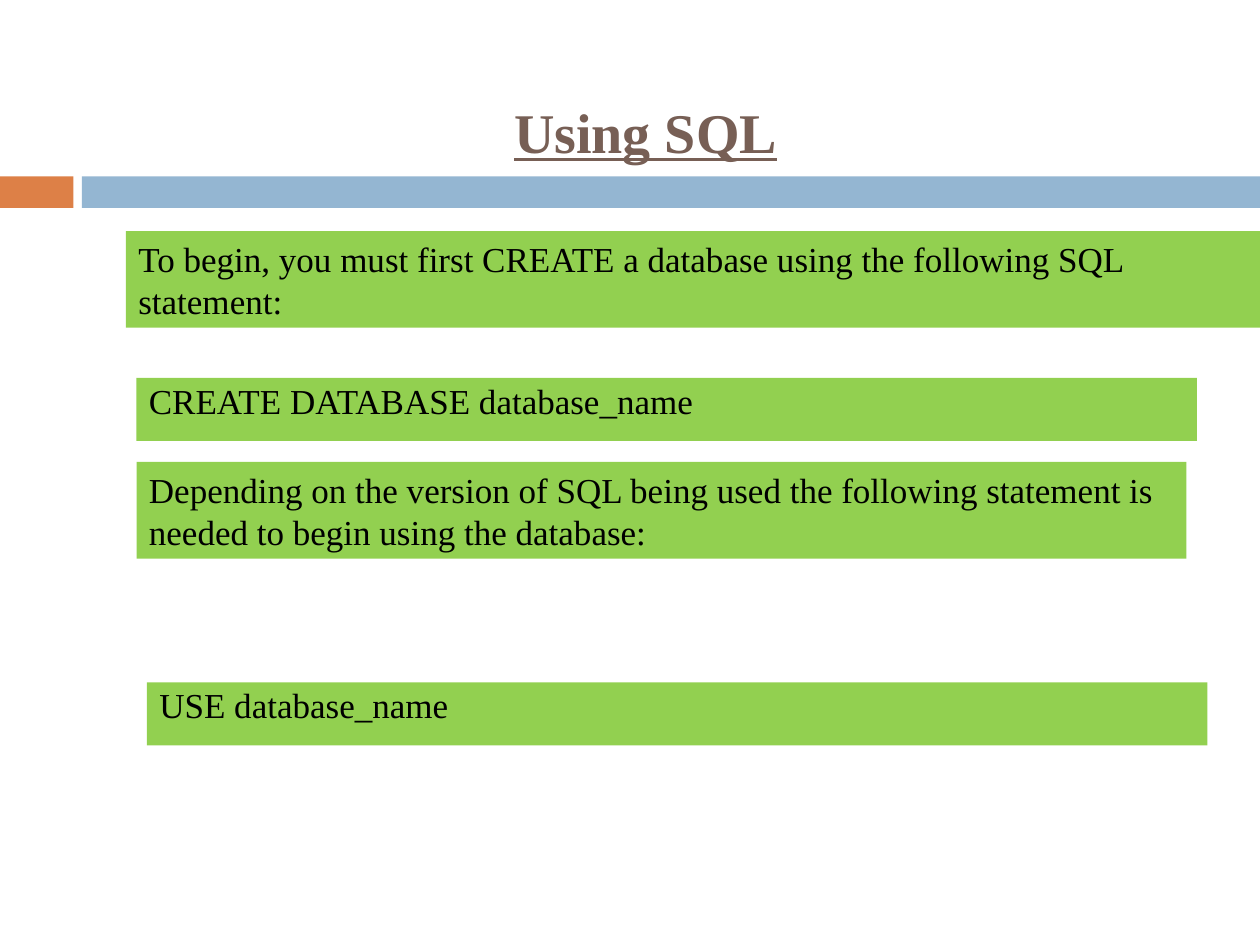
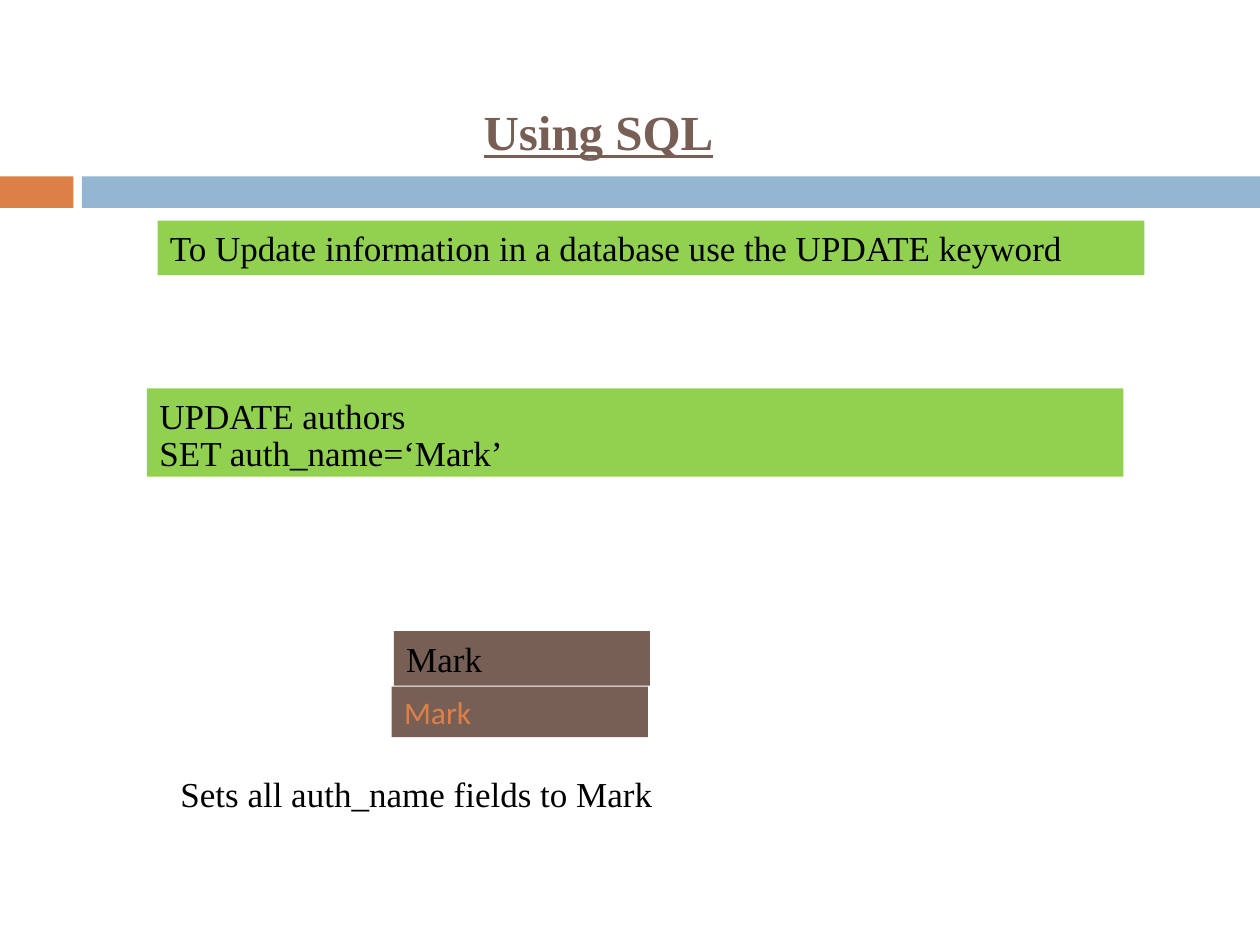
from pptx import Presentation
from pptx.dml.color import RGBColor
from pptx.enum.shapes import MSO_SHAPE as SHAPE
from pptx.enum.text import MSO_ANCHOR as ANCHOR, MSO_AUTO_SIZE as AUTO, PP_ALIGN as ALIGN
from pptx.util import Inches, Pt

# Grid: 120 columns by 90 rows of square cells
COLS, ROWS = 120, 90
BROWN, ORANGE, BLUE = "775F55", "DD8047", "94B6D2"
GREEN, BLACK = "92D050", "000000"
SERIF, SANS = "Times New Roman", "Calibri"
ONE_LINE, TWO_LINES, STATEMENT = 5.2, 9.2, 6  # box heights in rows
TIGHT = 0.9


def rgb(value):
    return RGBColor.from_string(value)


class Deck:
    def __init__(self):
        self.prs = Presentation()
        self.prs.slide_width, self.prs.slide_height = Inches(10), Inches(7.5)
        self.s = None

    def place(self, x, y, w, h):
        """Turn columns and rows into left, top, width, height."""
        col, row = self.prs.slide_width / COLS, self.prs.slide_height / ROWS
        return [round(v) for v in (x * col, y * row, w * col, h * row)]

    def slide(self, title, size, x, w):
        self.s = self.prs.slides.add_slide(self.prs.slide_layouts[5])
        self.rect(0, 16.8, 7, 3, ORANGE)
        self.rect(7.8, 16.8, COLS - 7.8, 3, BLUE)
        sp = self.s.shapes.title
        sp.left, sp.top, sp.width, sp.height = self.place(x, 5, w, 15)
        self.set_text(sp, [title], size, color=BROWN, anchor=ANCHOR.MIDDLE, align=ALIGN.CENTER)
        font = sp.text_frame.paragraphs[0].font
        font.bold = font.underline = True

    def rect(self, x, y, w, h, fill):
        sp = self.s.shapes.add_shape(SHAPE.RECTANGLE, *self.place(x, y, w, h))
        sp.shadow.inherit = False
        sp.fill.solid()
        sp.fill.fore_color.rgb = rgb(fill)
        sp.line.fill.background()
        return sp

    def box(self, x, y, w, h, *lines, fill=GREEN, **style):
        self.set_text(self.rect(x, y, w, h, fill), lines, **style)

    def note(self, x, y, w, h, *lines):
        self.set_text(self.s.shapes.add_textbox(*self.place(x, y, w, h)), lines)

    def set_text(self, sp, lines, size=20, font=SERIF, color=BLACK,
                 anchor=ANCHOR.TOP, align=ALIGN.LEFT, last_spacing=1.0):
        tf = sp.text_frame
        tf.word_wrap, tf.auto_size, tf.vertical_anchor = True, AUTO.NONE, anchor
        tf.margin_left = tf.margin_right = Inches(0.1)
        tf.margin_top = tf.margin_bottom = Inches(0.05)
        tf.text = "\n".join(lines)
        for p in tf.paragraphs:
            p.alignment = align
            p.font.name, p.font.size = font, Pt(size)
            p.font.color.rgb = rgb(color)
        p.line_spacing = last_spacing


def main():
    deck = Deck()

    # Creating and selecting a database
    deck.slide("Using SQL", 32, 17, 89)
    deck.box(12, 22, 108, TWO_LINES,
             "To begin, you must first CREATE a database using the following SQL statement:")
    deck.box(13, 36, 101, STATEMENT, "CREATE DATABASE database_name", last_spacing=TIGHT)
    deck.box(13, 44, 100, TWO_LINES,
             "Depending on the version of SQL being used the following statement is "
             "needed to begin using the database:")
    deck.box(14, 65, 101, STATEMENT, "USE database_name", last_spacing=TIGHT)

    # Updating records
    deck.slide("Using SQL", 28, 23, 68)
    deck.box(14, 37, 93, 8.4, "UPDATE authors", "SET auth_name=‘Mark’", last_spacing=TIGHT)
    deck.box(15, 21, 94, ONE_LINE, "To Update information in a database use the UPDATE keyword")

    # Result of the update
    deck.box(37.5, 60.1, 24.4, ONE_LINE, "Mark", fill=BROWN)
    deck.box(37.3, 65.4, 24.4, 4.8, "Mark", fill=BROWN, size=18, font=SANS, color=ORANGE)
    deck.note(16, 73, 94, ONE_LINE, "Sets all auth_name fields to Mark")

    deck.prs.save("out.pptx")


if __name__ == "__main__":
    main()
